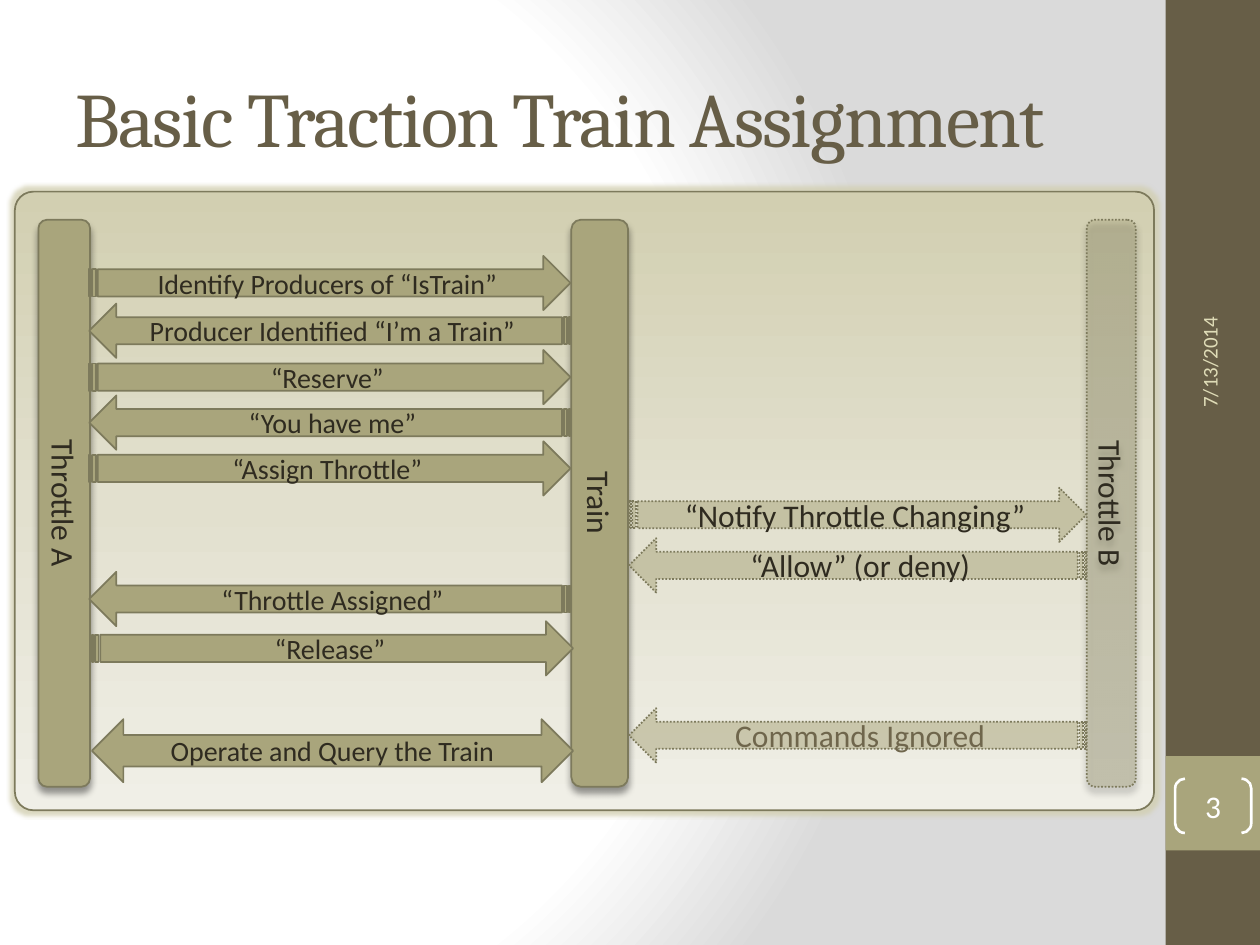
"""Build the train assignment sequence slide."""
from lxml import etree
from pptx import Presentation
from pptx.dml.color import RGBColor
from pptx.enum import dml, shapes, text
from pptx.oxml import parse_xml
from pptx.oxml.ns import qn
from pptx.util import Pt

NAMESPACE = 'xmlns:a="http://schemas.openxmlformats.org/drawingml/2006/main"'
DARK, OLIVE, EDGE, INK, WHITE = "675E47", "A9A57C", "7D7A5C", "2F2B20", "FFFFFF"
SHAPE = shapes.MSO_SHAPE
BAR_LENGTH, BAR_MIDDLE, ARROW_HEIGHT = 324, 287.6, 31
SOLID = dict(fill=OLIVE, line=EDGE)
FADED = dict(fill=OLIVE, line=EDGE, dotted=True)

BARS = [
    ("Throttle A", 36.7, 29.5, SOLID),
    ("Train", 342.7, 32.4, SOLID),
    ("Throttle B", 635, 28, dict(FADED, alpha=35)),
]
LEFT_ARROWS = [
    ("Identify Producers of “IsTrain”", 51, 146.2, False),
    ("Producer Identified “I’m a Train”", 51, 173.5, True),
    ("“Reserve”", 51, 200, False),
    ("“You have me”", 51, 226, True),
    ("“Assign Throttle”", 51, 252.2, False),
    ("“Throttle Assigned”", 51, 326.8, True),
    ("“Release”", 52.5, 355, False),
]
RIGHT_ARROWS = [
    ("“Notify Throttle Changing”", 278.7, False, INK),
    ("“Allow” (or deny)", 307.6, True, INK),
    ("Commands Ignored", 404.7, True, "6F664C"),
]


def rgb(value):
    return RGBColor.from_string(value)


def write(shape, words, size=16, color=INK, font="Calibri",
          align=text.PP_ALIGN.CENTER, inset=None, spacing=None):
    frame = shape.text_frame
    frame.word_wrap = True
    frame.auto_size = text.MSO_AUTO_SIZE.NONE
    frame.vertical_anchor = text.MSO_ANCHOR.MIDDLE
    if inset is not None:
        frame.margin_left = frame.margin_right = Pt(inset)
        frame.margin_top = frame.margin_bottom = Pt(inset)
    paragraph = frame.paragraphs[0]
    paragraph.alignment = align
    run = paragraph.add_run()
    run.text = words
    run.font.size, run.font.name = Pt(size), font
    run.font.color.rgb = rgb(color)
    if spacing is not None:
        run._r.get_or_add_rPr().set("spc", str(spacing * 100))


def draw(kind, left, top, width, height, fill=None, line=None, weight=1,
         dotted=False, alpha=None, flip=False):
    shape = slide.shapes.add_shape(kind, Pt(left), Pt(top), Pt(width), Pt(height))
    shape.shadow.inherit = False
    if fill:
        shape.fill.solid()
        shape.fill.fore_color.rgb = rgb(fill)
    else:
        shape.fill.background()
    if alpha:
        color = shape._element.spPr.find(qn("a:solidFill"))[0]
        etree.SubElement(color, qn("a:alpha")).set("val", str(alpha * 1000))
    if line:
        shape.line.color.rgb = rgb(line)
        shape.line.width = Pt(weight)
        if dotted:
            shape.line.dash_style = dml.MSO_LINE.ROUND_DOT
    else:
        shape.line.fill.background()
    if flip:
        shape._element.spPr.find(qn("a:xfrm")).set("flipH", "1")
    return shape


def add_effect(shape, tag, color, alpha, **settings):
    attributes = " ".join(f'{key}="{value}"' for key, value in settings.items())
    shape._element.spPr.find(qn("a:effectLst")).append(parse_xml(
        f'<a:{tag} {NAMESPACE} {attributes}><a:srgbClr val="{color}">'
        f'<a:alpha val="{alpha * 1000}"/></a:srgbClr></a:{tag}>'))


def gradient(stops, direction):
    marks = "".join(f'<a:gs pos="{position * 1000}"><a:srgbClr val="{color}"/></a:gs>'
                    for position, color in stops)
    return parse_xml(f'<a:gradFill {NAMESPACE} rotWithShape="1"><a:gsLst>{marks}</a:gsLst>'
                     f'{direction}</a:gradFill>')


def replace_fill(parent, new_fill):
    parent.replace(parent.find(qn("a:solidFill")), new_fill)


presentation = Presentation()
presentation.slide_width, presentation.slide_height = Pt(720), Pt(540)
slide = presentation.slides.add_slide(presentation.slide_layouts[5])
slide.background.fill.solid()
replace_fill(slide._element.cSld.bg.bgPr, gradient(
    [(0, WHITE), (75, WHITE), (100, "DADADA")],
    '<a:path path="circle"><a:fillToRect l="20000" t="50000" r="100000" b="50000"/></a:path>'))

draw(SHAPE.RECTANGLE, 666, 0, 54, 540, fill=DARK)
draw(SHAPE.RECTANGLE, 666, 432, 54, 54, fill=OLIVE)

panel = draw(SHAPE.ROUNDED_RECTANGLE, 8.5, 109.5, 651, 353.5, **SOLID)
panel.adjustments[0] = 0.03
replace_fill(panel._element.spPr, gradient(
    [(0, "D2CFB1"), (50, "E2E0CE"), (100, "F0EFE7")], '<a:lin ang="5400000" scaled="0"/>'))
add_effect(panel, "glow", "D2CFB1", 80, rad=Pt(5))

title = slide.shapes.title
title.left, title.top, title.width, title.height = Pt(36), Pt(21.6), Pt(600), Pt(90)
write(title, "Basic Traction Train Assignment", size=44, color=DARK,
      font="Cambria", align=text.PP_ALIGN.LEFT, spacing=-1)

date = slide.shapes.add_textbox(Pt(595), Pt(129.6), Pt(192), Pt(28.8))
date.rotation = 270
write(date, "7/13/2014", size=12, color="DFDCB7", align=text.PP_ALIGN.LEFT)

number = draw(SHAPE.DOUBLE_BRACKET, 671.5, 445, 43.5, 31, line=WHITE, weight=1.5)
number.adjustments[0] = 0.18
write(number, "3", size=18, color=WHITE, inset=0)

for label, center, thickness, style in BARS:
    bar = draw(SHAPE.ROUNDED_RECTANGLE, center - BAR_LENGTH / 2,
               BAR_MIDDLE - thickness / 2, BAR_LENGTH, thickness, **style)
    bar.rotation = 90
    add_effect(bar, "outerShdw", "000000", 40, blurRad=Pt(4), dist=Pt(3),
               dir=5400000, rotWithShape=0)
    write(bar, label, size=18)

for label, left, top, flip in LEFT_ARROWS:
    arrow = draw(SHAPE.STRIPED_RIGHT_ARROW, left, top, 275, ARROW_HEIGHT, flip=flip, **SOLID)
    write(arrow, label)

for label, top, flip, color in RIGHT_ARROWS:
    arrow = draw(SHAPE.STRIPED_RIGHT_ARROW, 359.5, top, 261.3, ARROW_HEIGHT,
                 flip=flip, alpha=52, **FADED)
    write(arrow, label, size=18, color=color)

operate = draw(SHAPE.LEFT_RIGHT_ARROW, 52.5, 411, 275, 36, **SOLID)
write(operate, "Operate and Query the Train")

presentation.save("out.pptx")
